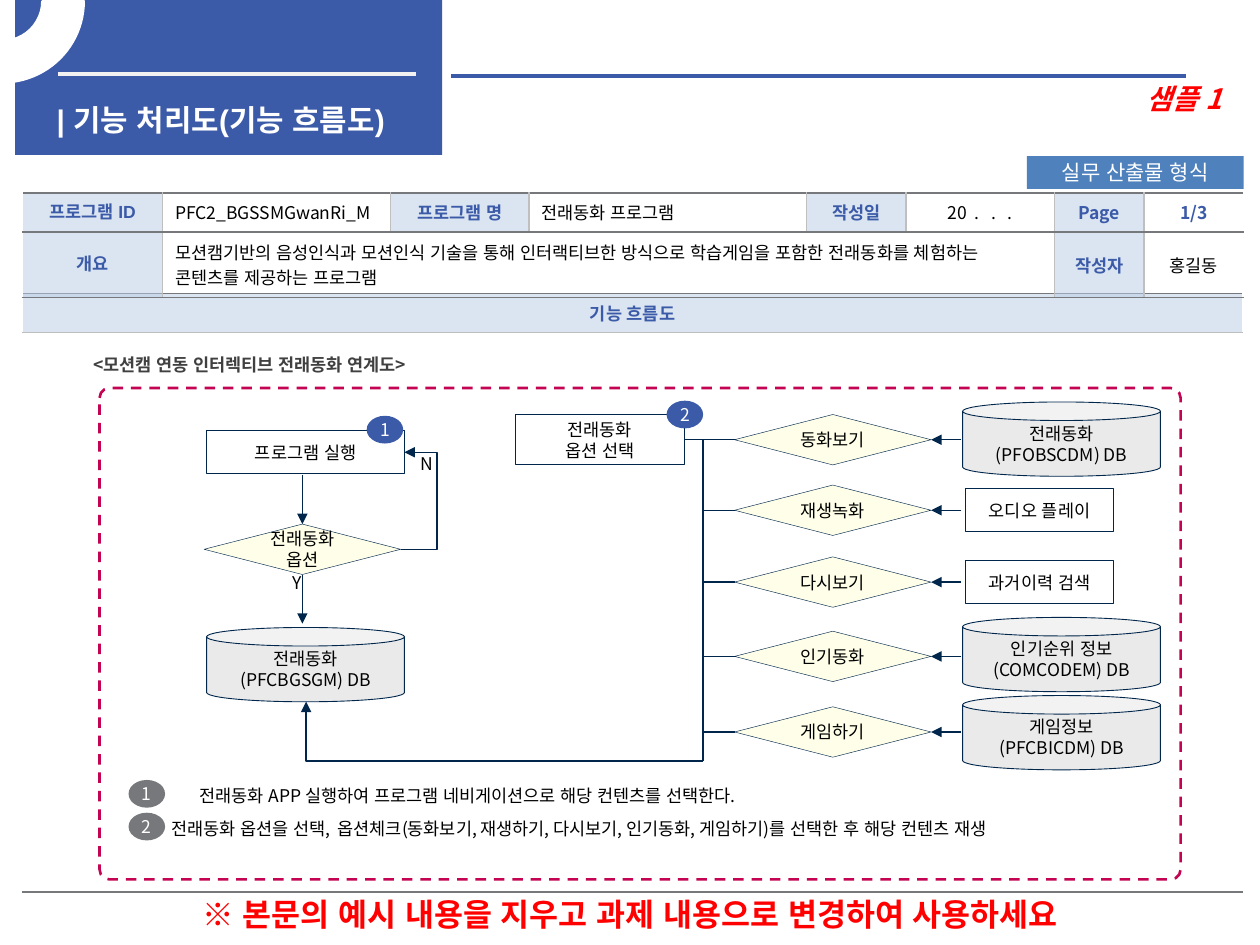
from lxml.etree import SubElement
from pptx import Presentation
from pptx.dml.color import RGBColor
from pptx.enum.dml import MSO_LINE
from pptx.enum.lang import MSO_LANGUAGE_ID as LANG
from pptx.enum.shapes import MSO_CONNECTOR as CONN, MSO_SHAPE as SHAPE
from pptx.enum.text import MSO_ANCHOR as ANCHOR, MSO_AUTO_SIZE as AUTO, PP_ALIGN as ALIGN
from pptx.oxml.ns import qn
from pptx.util import Pt

PX = 9144  # 100 px to the inch
TOP, LEFT, BOTTOM, RIGHT = range(4)  # connection sites
SANS, ARIAL = "Noto Sans CJK KR", "Arial"

BLUE = RGBColor(0x3B, 0x5A, 0xA8)
STEEL = RGBColor(0x4F, 0x81, 0xBD)
PALE = RGBColor(0xB9, 0xCD, 0xE5)
NAVY = RGBColor(0x00, 0x26, 0x4C)
CREAM = RGBColor(0xFF, 0xFF, 0xE9)
SILVER = RGBColor(0xEA, 0xEA, 0xEA)
LIGHT = RGBColor(0xBF, 0xBF, 0xBF)
GREY = RGBColor(0x77, 0x78, 0x7B)
DARK = RGBColor(0x40, 0x40, 0x40)
OFFWHITE = RGBColor(0xF2, 0xF2, 0xF2)
MAGENTA = RGBColor(0xC4, 0x04, 0x52)
RED = RGBColor(0xFF, 0, 0)
WHITE = RGBColor(0xFF, 0xFF, 0xFF)
BLACK = RGBColor(0, 0, 0)


def px(*values):
    return [v * PX for v in values]


def write(tf, text, size=10, color=BLACK, font=SANS, bold=False, italic=False,
          align=ALIGN.CENTER, spacing=None):
    for i, line in enumerate(text.split("\n")):
        p = tf.add_paragraph() if i else tf.paragraphs[0]
        p.alignment, p.line_spacing = align, spacing
        r = p.add_run()
        r.text = line
        f = r.font
        f.size, f.name, f.bold, f.italic = Pt(size), font, bold, italic
        f.color.rgb, f.language_id = color, LANG.KOREAN
        SubElement(r._r.get_or_add_rPr(), qn("a:ea")).set("typeface", font)


def add_shape(slide, kind, x, y, w, h, text="", fill=None, line=None, width=0.5,
              inset=None, wrap=True, **fmt):
    sp = slide.shapes.add_shape(kind, *px(x, y, w, h))
    sp.shadow.inherit = False
    if fill is None:
        sp.fill.background()
    else:
        sp.fill.solid()
        sp.fill.fore_color.rgb = fill
    if line is None:
        sp.line.fill.background()
    else:
        sp.line.color.rgb, sp.line.width = line, Pt(width)
    if text:
        tf = sp.text_frame
        tf.word_wrap, tf.vertical_anchor = wrap, ANCHOR.MIDDLE
        if inset is not None:
            tf.margin_left = tf.margin_right = tf.margin_top = tf.margin_bottom = inset * PX
        write(tf, text, **fmt)
    return sp


def add_text(slide, x, y, w, h, text, wrap=False, **fmt):
    tf = slide.shapes.add_textbox(*px(x, y, w, h)).text_frame
    tf.word_wrap = wrap
    write(tf, text, **fmt)


def connect(slide, x1, y1, x2, y2, kind=CONN.STRAIGHT, color=NAVY, width=0.75,
            arrow=False, start=None, end=None):
    """start and end are (shape, site) pairs to join."""
    c = slide.shapes.add_connector(kind, *px(x1, y1, x2, y2))
    c.line.color.rgb, c.line.width = color, Pt(width)
    if start:
        c.begin_connect(*start)
    if end:
        c.end_connect(*end)
    if arrow:
        SubElement(c.line._get_or_add_ln(), qn("a:tailEnd")).set("type", "triangle")
    SubElement(c._element.spPr, qn("a:effectLst"))
    return c


def box(slide, x, y, w, h, text):
    return add_shape(slide, SHAPE.RECTANGLE, x, y, w, h, text, line=NAVY, inset=4)


def database(slide, x, y, text):
    return add_shape(slide, SHAPE.CAN, x, y, 157, 59, text, fill=SILVER, line=NAVY, inset=4)


def decision(slide, x, y, text):
    return add_shape(slide, SHAPE.FLOWCHART_DECISION, x, y, 156, 40, text,
                     fill=CREAM, line=NAVY, width=0.25)


def badge(slide, x, y, text, fill=BLUE):
    add_shape(slide, SHAPE.OVAL, x, y, 29, 22, text, fill=fill, inset=6, wrap=False, color=WHITE)


def style_cell(cell, text, borders, fill=None, **fmt):
    """borders holds the left, right, top and bottom colours."""
    cell.vertical_anchor = ANCHOR.MIDDLE
    pr = cell._tc.get_or_add_tcPr()
    for side, color in zip("LRTB", borders):
        ln = SubElement(pr, qn("a:ln" + side), w=str(Pt(1)))
        SubElement(SubElement(ln, qn("a:solidFill")), qn("a:srgbClr")).set("val", str(color))
    if fill is None:
        cell.fill.background()
    else:
        cell.fill.solid()
        cell.fill.fore_color.rgb = fill
        SubElement(pr.find(qn("a:solidFill"))[0], qn("a:alpha")).set("val", "50000")
    if text:
        write(cell.text_frame, text, **fmt)


def add_table(slide, x, y, cols, rows):
    shape = slide.shapes.add_table(len(rows), len(cols), *px(x, y, sum(cols), sum(rows)))
    table = shape.table
    table.first_row = table.horz_banding = False
    for col, w in zip(table.columns, cols):
        col.width = w * PX
    for row, h in zip(table.rows, rows):
        row.height = h * PX
    return table


def header(slide, x, y):
    add_shape(slide, SHAPE.RECTANGLE, x, y, 339, 123, fill=BLUE)
    connect(slide, x + 34, y + 59, x + 318, y + 59, color=OFFWHITE, width=2.25)
    connect(slide, x + 346, y + 60, x + 929, y + 60, color=BLUE, width=2.25)
    title = slide.shapes.title
    title.left, title.top, title.width, title.height = px(x + 23, y + 76, 307, 32)
    tf = title.text_frame
    tf.auto_size, tf.vertical_anchor, tf.word_wrap = AUTO.NONE, ANCHOR.TOP, True
    write(tf, "| 기능 처리도(기능 흐름도)", 17, WHITE, ARIAL, bold=True, align=ALIGN.LEFT)
    slide.shapes._spTree.append(title._element)  # in front of the banner
    arc = add_shape(slide, SHAPE.BLOCK_ARC, x - 75, y - 63, 129, 128, fill=WHITE, line=WHITE, width=2)
    arc.adjustments[0], arc.adjustments[1], arc.adjustments[2] = 96.95, 0, 0.25
    arc._element.spPr.xfrm.set("flipV", "1")
    add_text(slide, x + 409, y + 60, 559, 37, "샘플 1", wrap=True, size=16, color=RED,
             bold=True, italic=True, align=ALIGN.RIGHT)
    add_shape(slide, SHAPE.RECTANGLE, x + 803, y + 124, 172, 26, "실무 산출물 형식",
              fill=STEEL, size=12, color=WHITE)


def info_table(slide, x, y):
    table = add_table(slide, x, y, [111, 181, 110, 220, 79, 118, 71, 79], [31, 52])
    overview = ("모션캠기반의 음성인식과 모션인식 기술을 통해 인터랙티브한 방식으로 "
                "학습게임을 포함한 전래동화를 체험하는 콘텐츠를 제공하는 프로그램")
    texts = [["프로그램 ID", "PFC2_BGSSMGwanRi_M", "프로그램 명", "전래동화 프로그램",
              "작성일", "20  .   .   .", "Page", "1/3"],
             ["개요", overview, "", "", "", "", "작성자", "홍길동"]]
    table.cell(1, 1).merge(table.cell(1, 5))
    table.cell(1, 1).margin_right = 25 * PX
    for i, row in enumerate(texts):
        for j, text in enumerate(row):
            label = j % 2 == 0 and text != ""
            strong = label or text == "1/3"
            borders = (LIGHT if j else WHITE, LIGHT if j < 7 else WHITE, GREY, GREY)
            style_cell(table.cell(i, j), text, borders, PALE if label else None,
                       color=BLUE if strong else BLACK, bold=strong,
                       font=ARIAL if j == 0 else SANS,
                       align=ALIGN.LEFT if j in (1, 3) else ALIGN.CENTER)


def body_table(slide, x, y):
    table = add_table(slide, x, y, [968], [31, 444])
    style_cell(table.cell(0, 0), "기능 흐름도", (WHITE, WHITE, GREY, LIGHT), PALE,
               color=BLUE, bold=True)
    style_cell(table.cell(1, 0), "", (WHITE, WHITE, LIGHT, GREY))


def flow_frame(slide, x, y, w, h):
    add_text(slide, x - 15, y - 35, 543, 30, "<모션캠 연동 인터렉티브 전래동화 연계도>", wrap=True,
             color=DARK, bold=True, align=ALIGN.LEFT, spacing=1.2)
    frame = add_shape(slide, SHAPE.ROUNDED_RECTANGLE, x, y, w, h, line=MAGENTA, width=1.5)
    frame.adjustments[0] = 0.02
    frame.line.dash_style = MSO_LINE.DASH


def start_flow(slide, x, y):
    run = box(slide, x + 2, y + 12, 157, 34, "프로그램 실행")
    database(slide, x + 2, y + 168, "전래동화\n(PFCBGSGM) DB")
    choice = decision(slide, x, y + 86, "전래동화 옵션")
    connect(slide, x + 78, y + 47, x + 78, y + 86, arrow=True, end=(choice, TOP))
    connect(slide, x + 78, y + 126, x + 78, y + 165, arrow=True, start=(choice, BOTTOM))
    loop = connect(slide, x + 156, y + 106, x + 159, y + 29, CONN.ELBOW, arrow=True,
                   start=(choice, RIGHT), end=(run, RIGHT))
    guides = loop._element.spPr.find(qn("a:prstGeom")).find(qn("a:avLst"))
    SubElement(guides, qn("a:gd"), name="adj1", fmla="val 967000")
    add_text(slide, x + 60, y + 119, 28, 27, "Y")
    add_text(slide, x + 161, y + 25, 31, 27, "N")
    badge(slide, x + 129, y, "1")


def option_flow(slide, x, y):
    trunk, foot = x + 149, y + 286
    options = box(slide, x, y + 11, 134, 40, "전래동화\n옵션 선택")
    connect(slide, trunk, foot, trunk, y + 31)
    # Option, its top, then its source and the source's top
    rows = [("동화보기", 11, "전래동화\n(PFOBSCDM) DB", 1),
            ("재생녹화", 67, "오디오 플레이", 70),
            ("다시보기", 124, "과거이력 검색", 127),
            ("인기동화", 183, "인기순위 정보\n(COMCODEM) DB", 172),
            ("게임하기", 243, "게임정보\n(PFCBICDM) DB", 234)]
    for i, (name, top, source, source_top) in enumerate(rows):
        mid = y + top + 20
        option = decision(slide, x + 174, y + top, name)
        connect(slide, trunk, mid, x + 174, mid, start=None if i else (options, RIGHT),
                end=(option, LEFT))
        connect(slide, x + 354, mid, x + 330, mid, arrow=True, end=(option, RIGHT))
        if "DB" in source:
            database(slide, x + 355, y + source_top, source)
        else:
            box(slide, x + 357, y + source_top, 118, 34, source)
    back = connect(slide, trunk, foot, x - 166, y + 239, CONN.ELBOW, arrow=True)
    back._element.spPr.find(qn("a:prstGeom")).set("prst", "bentConnector2")
    badge(slide, x + 120, y, "2")


def legend(slide, x, y):
    notes = [("전래동화 APP 실행하여 프로그램 네비게이션으로 해당 컨텐츠를 선택한다.", 490, ALIGN.CENTER),
             ("전래동화 옵션을 선택,  옵션체크(동화보기, 재생하기, 다시보기, 인기동화, 게임하기)를 "
              "선택한 후 해당 컨텐츠 재생", 739, ALIGN.LEFT)]
    for i, (text, w, align) in enumerate(notes):
        badge(slide, x, y + 4 + 26 * i, str(i + 1), GREY)
        add_text(slide, x + 24, y + 26 * i, w, 29, text, align=align, spacing=1.2)


def main():
    prs = Presentation()
    prs.slide_width, prs.slide_height = px(1000, 750)
    slide = prs.slides.add_slide(prs.slide_layouts[5])
    add_shape(slide, SHAPE.ROUNDED_RECTANGLE, 49, 705, 902, 40,
              "※ 본문의 예시 내용을 지우고 과제 내용으로 변경하여 사용하세요", size=18, color=RED, bold=True)
    header(slide, 12, 0)
    body_table(slide, 18, 233)
    flow_frame(slide, 79, 308, 858, 390)
    start_flow(slide, 162, 330)
    option_flow(slide, 409, 318)
    legend(slide, 102, 615)
    info_table(slide, 18, 153)
    prs.save("out.pptx")


if __name__ == "__main__":
    main()
